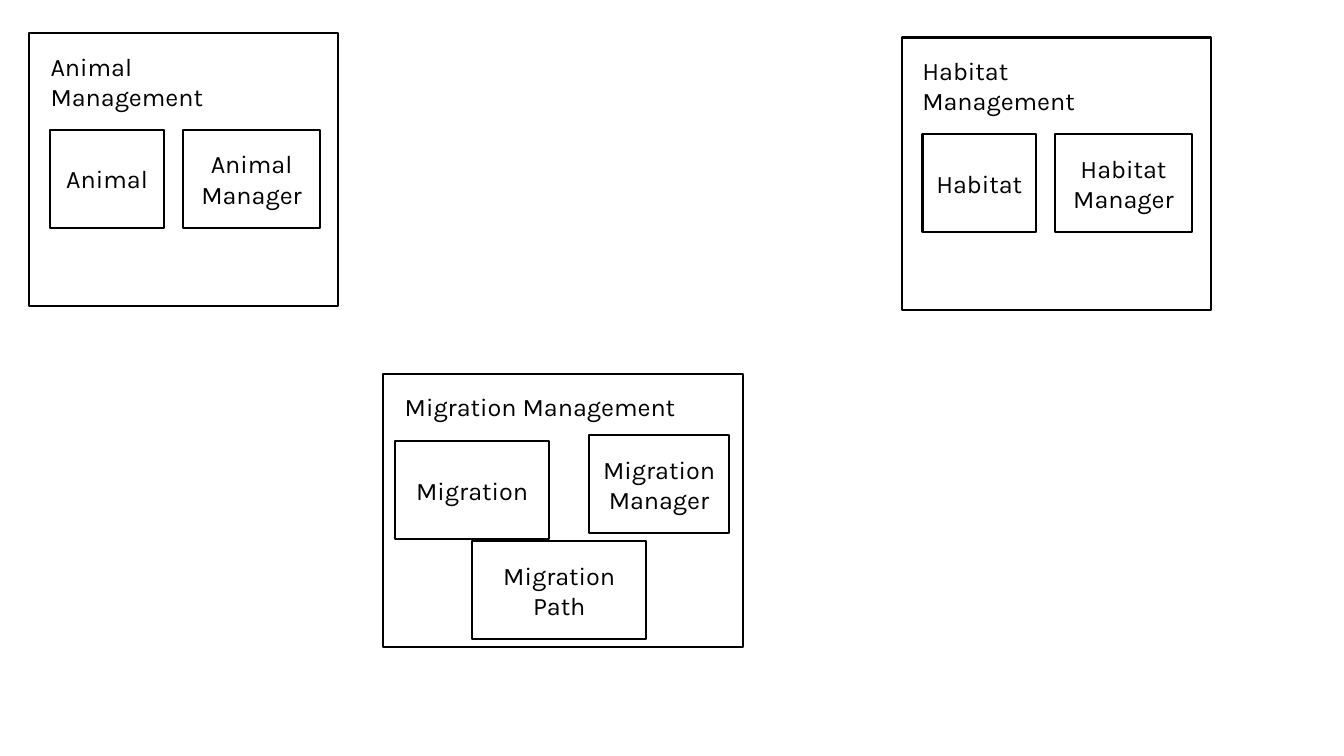
from pptx import Presentation
from pptx.dml.color import RGBColor
from pptx.enum.shapes import MSO_SHAPE
from pptx.enum.text import MSO_ANCHOR, MSO_AUTO_SIZE, PP_ALIGN
from pptx.util import Pt

COLOURS = {"ink": "000000"}
FONT_FORMAT = {"name": "Karla", "size": Pt(18)}
BOX_FRAME = {"word_wrap": True, "vertical_anchor": MSO_ANCHOR.MIDDLE}
LABEL_FRAME = {"word_wrap": True, "auto_size": MSO_AUTO_SIZE.SHAPE_TO_FIT_TEXT}
LINE_WIDTH = 1.5
MODULE_HEIGHT = 195
CLASS_HEIGHT = 70
LABEL_HEIGHT = 29

# Each module has a place on the page; its parts are (text, x, y, width) from its corner.
MODULES = [
    {
        "place": (21, 23.75, 220.5),
        "label": ("Animal Management", 8, 9.25, 176.5),
        "entity": ("Animal", 15, 69, 81),
        "others": [("Animal Manager", 110, 69, 97.5)],
    },
    {
        "place": (644.25, 26.75, 220.5),
        "label": ("Habitat Management", 7.5, 9.25, 180),
        "entity": ("Habitat", 14.75, 69, 81),
        "others": [("Habitat Manager", 109.5, 69, 97.5)],
    },
    {
        "place": (273.75, 267, 257),
        "label": ("Migration Management", 8.25, 8.75, 226),
        "entity": ("Migration", 8.5, 48.25, 110),
        "others": [
            ("Migration Manager", 146.75, 44, 100.5),
            ("Migration Path", 63.75, 119.5, 124),
        ],
    },
]


class Diagram:
    """Holds the style and the page, and draws each kind of element on it."""

    def __init__(self, page):
        self.page = page
        self.ink = RGBColor.from_string(COLOURS["ink"])

    def set_text(self, shape, text, frame_format, alignment):
        for key, value in frame_format.items():
            setattr(shape.text_frame, key, value)
        para = shape.text_frame.paragraphs[0]
        para.alignment = alignment
        span = para.add_run()
        span.text = text
        for key, value in FONT_FORMAT.items():
            setattr(span.font, key, value)
        span.font.color.rgb = self.ink

    def box(self, shapes, left, top, width, height, text=None):
        """Add an outlined rectangle, with centred text if any is given."""
        box = shapes.add_shape(
            MSO_SHAPE.RECTANGLE, Pt(left), Pt(top), Pt(width), Pt(height)
        )
        box.shadow.inherit = False
        box.fill.background()
        box.line.color.rgb = self.ink
        box.line.width = Pt(LINE_WIDTH)
        if text:
            self.set_text(box, text, BOX_FRAME, PP_ALIGN.CENTER)

    def label(self, shapes, left, top, width, text):
        label = shapes.add_textbox(Pt(left), Pt(top), Pt(width), Pt(LABEL_HEIGHT))
        self.set_text(label, text, LABEL_FRAME, PP_ALIGN.LEFT)

    def module(self, place, label, entity, others):
        """Group the frame, its label and main class, then add the other classes."""
        left, top, width = place
        group = self.page.shapes.add_group_shape().shapes
        text, x, y, class_width = entity
        self.box(group, left + x, top + y, class_width, CLASS_HEIGHT, text)
        self.box(group, left, top, width, MODULE_HEIGHT)
        text, x, y, label_width = label
        self.label(group, left + x, top + y, label_width, text)
        for text, x, y, class_width in others:
            self.box(
                self.page.shapes, left + x, top + y, class_width, CLASS_HEIGHT, text
            )


def main():
    deck = Presentation()
    deck.slide_width, deck.slide_height = Pt(960), Pt(540)
    blank_layout = deck.slide_layouts[6]
    diagram = Diagram(deck.slides.add_slide(blank_layout))
    for module in MODULES:
        diagram.module(**module)
    deck.save("out.pptx")


if __name__ == "__main__":
    main()
